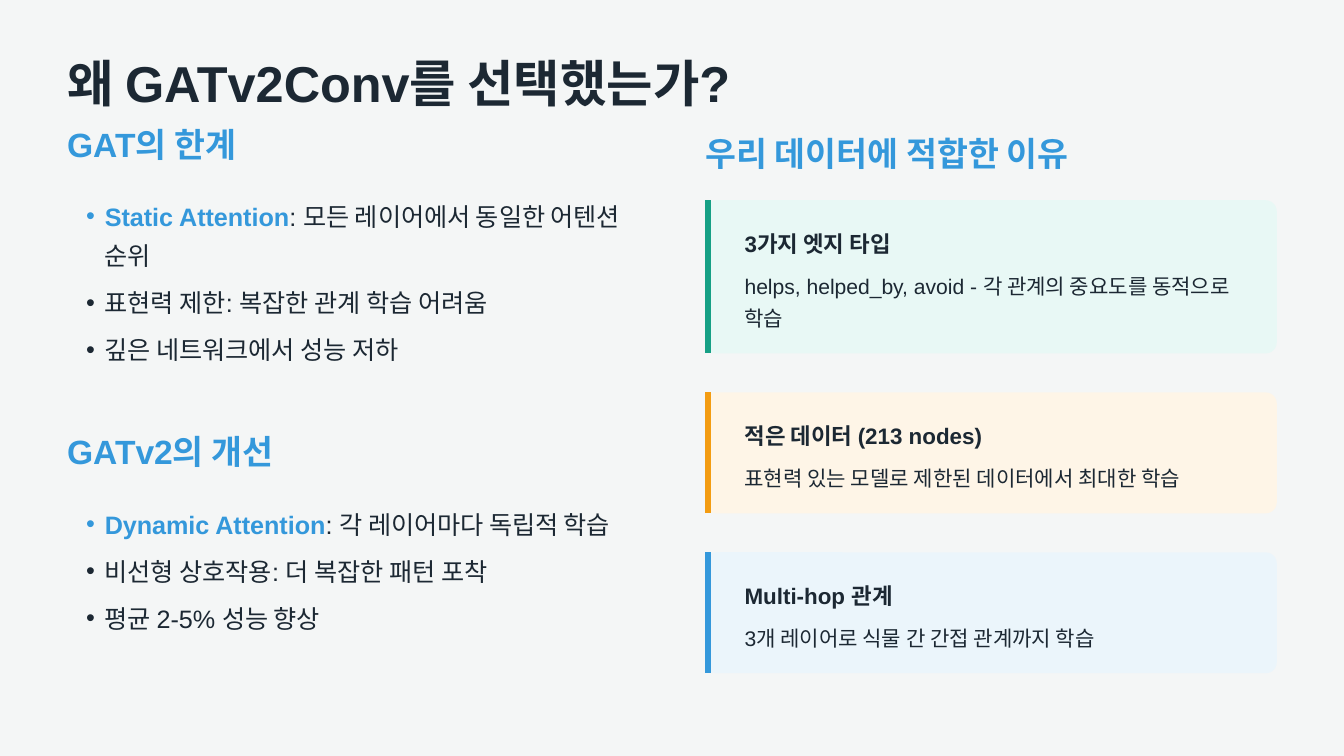
from lxml import etree
from pptx import Presentation
from pptx.dml.color import RGBColor
from pptx.enum import shapes
from pptx.oxml import ns
from pptx.util import Inches, Pt

INK, BLUE, FACE = "1C2833", "3498DB", "Arial"
TITLE = "왜 GATv2Conv를 선택했는가?"
# heading top, heading, key term, rest of its line, further points
LISTS = [
    (0.92, "GAT의 한계", "Static Attention", ": 모든 레이어에서 동일한 어텐션 순위",
     ["표현력 제한: 복잡한 관계 학습 어려움", "깊은 네트워크에서 성능 저하"]),
    (3.21, "GATv2의 개선", "Dynamic Attention", ": 각 레이어마다 독립적 학습",
     ["비선형 상호작용: 더 복잡한 패턴 포착", "평균 2-5% 성능 향상"]),
]
REASONS = "우리 데이터에 적합한 이유"
# heading, body, body height, fill, accent
CARDS = [
    ("3가지 엣지 타입", "helps, helped_by, avoid - 각 관계의 중요도를 동적으로 학습",
     0.47, "E8F8F5", "16A085"),
    ("적은 데이터 (213 nodes)", "표현력 있는 모델로 제한된 데이터에서 최대한 학습",
     0.23, "FEF5E7", "F39C12"),
    ("Multi-hop 관계", "3개 레이어로 식물 간 간접 관계까지 학습",
     0.23, "EBF5FB", BLUE),
]
LEFT, RIGHT, WIDE = 0.5, 5.25, 4.25
PAD, GAP, ROUND = 0.17, 0.29, 0.083

deck = Presentation()
deck.slide_width = Inches(10)
deck.slide_height = deck.slide_width * 9 // 16
slide = deck.slides.add_slide(deck.slide_layouts[6])


def rgb(code):
    return RGBColor.from_string(code)


def frame(x, y, w, h, inset=0):
    """Add a wrapping text box and return its text frame."""
    body = slide.shapes.add_textbox(*map(Inches, (x, y, w, h))).text_frame
    body.word_wrap = True
    body.margin_left = Inches(inset)
    body.margin_top = body.margin_right = body.margin_bottom = 0
    return body


def style(para, size, line, after=0, color=INK, bold=False):
    para.line_spacing, para.space_after = Pt(line), Pt(after)
    font = para.font
    font.name, font.size, font.bold = FACE, Pt(size), bold
    font.color.rgb = rgb(color)


def label(box, text, *look):
    para = frame(*box).paragraphs[0]
    para.text = text
    style(para, *look)


def head(x, y, text):
    label((x, y, 4.33, 0.3), text, 18, 21.6, 6, BLUE, True)


def bullet(para):
    props = para._p.get_or_add_pPr()
    props.set("marL", str(Inches(0.14)))
    props.set("indent", str(-Inches(0.14)))
    etree.SubElement(props, ns.qn("a:buFont")).set("typeface", FACE)
    etree.SubElement(props, ns.qn("a:buChar")).set("char", "•")


def points(y, term, rest, more):
    body = frame(LEFT, y, WIDE, 1.37, 0.14)
    for i, text in enumerate([rest, *more]):
        para = body.add_paragraph() if i else body.paragraphs[0]
        bullet(para)
        style(para, 13.5, 21, 4.2)
        if i == 0:
            key = para.add_run()
            key.text = term
            key.font.bold = True
            key.font.color.rgb = rgb(BLUE)
        para.add_run().text = text


def card(y, high, fill, accent):
    """Draw a rounded panel with an accent line down its left edge."""
    panel = slide.shapes.add_shape(
        shapes.MSO_SHAPE.ROUNDED_RECTANGLE,
        *map(Inches, (RIGHT, y, WIDE, high)))
    panel.adjustments[0] = ROUND / high
    panel.shadow.inherit = False
    panel.fill.solid()
    panel.fill.fore_color.rgb = rgb(fill)
    panel.line.fill.background()
    x = RIGHT + 0.02
    edge = slide.shapes.add_connector(
        shapes.MSO_CONNECTOR.STRAIGHT, *map(Inches, (x, y, x, y + high)))
    edge.line.width = Pt(3)
    edge.line.color.rgb = rgb(accent)
    etree.SubElement(edge._element.spPr, ns.qn("a:effectLst"))


slide.background.fill.solid()
slide.background.fill.fore_color.rgb = rgb("F4F6F6")
label((LEFT, 0.42, 5.29, 0.42), TITLE, 27, 30, 9, INK, True)
for top, name, term, rest, more in LISTS:
    head(LEFT, top, name)
    points(top + 0.51, term, rest, more)

head(RIGHT, 0.99, REASONS)
top = 1.49
for name, text, deep, fill, accent in CARDS:
    high = deep + 0.5 + PAD
    card(top, high, fill, accent)
    x = RIGHT + GAP
    label((x, top + PAD, 3.78, 0.25), name, 12, 18, 6, INK, True)
    label((x, top + 0.5, 3.78, deep), text, 11.25, 16.88)
    top += high + GAP

deck.save("out.pptx")
